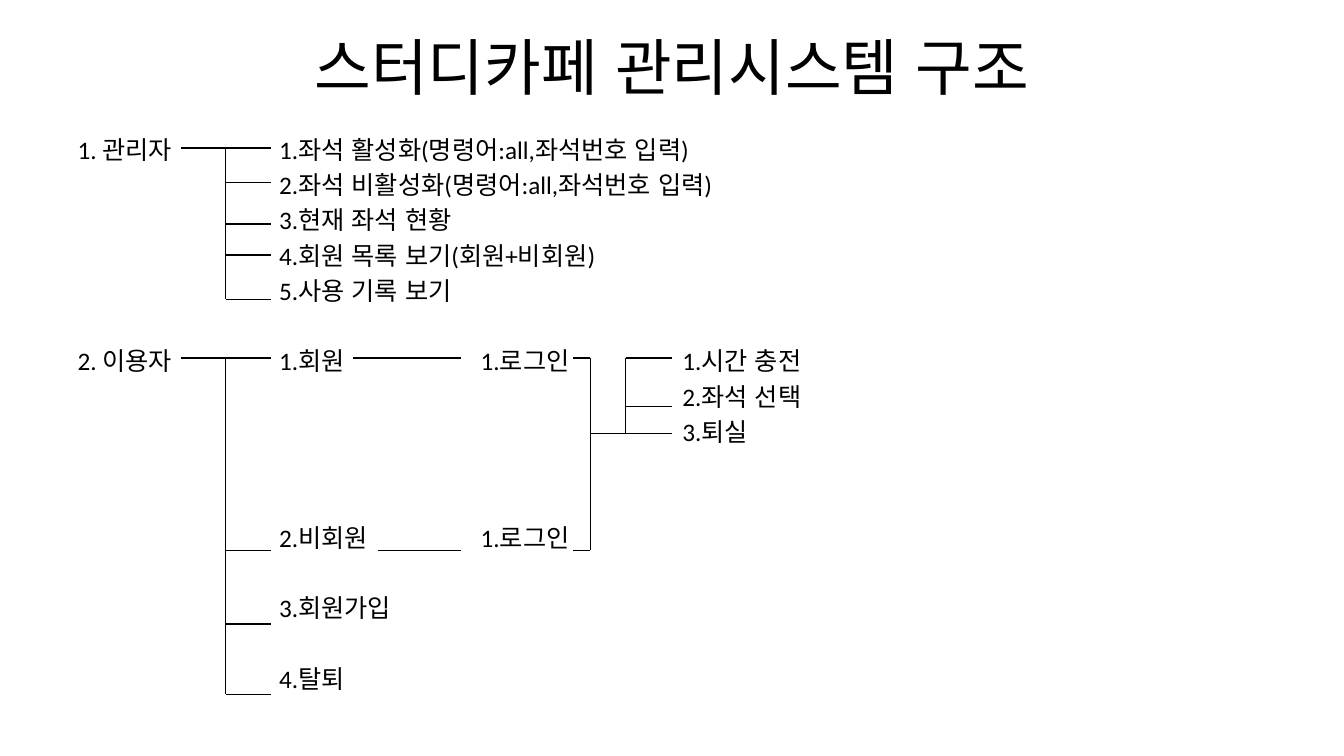
from lxml import etree
from pptx import Presentation, util as u
from pptx.dml.color import RGBColor
from pptx.enum import lang, shapes, text
from pptx.oxml.ns import qn

BLACK = "000000"
FONT = "Calibri"
ROW_PITCH, ROW_GAP = 25.2, 3.6  # points
TAB_STEP = u.Cm(5.08)


def format_font(font, size):
    values = {"name": FONT, "size": u.Pt(size),
              "language_id": lang.MSO_LANGUAGE_ID.KOREAN}
    for name, value in values.items():
        setattr(font, name, value)
    font.color.rgb = RGBColor.from_string(BLACK)


def add_line(x1, y1, x2, y2):
    """Draw a thin black line; coordinates are in centimetres."""
    line = page.shapes.add_connector(
        shapes.MSO_CONNECTOR.STRAIGHT, u.Cm(x1), u.Cm(y1), u.Cm(x2), u.Cm(y2))
    line.line.width = u.Pt(1)
    line.line.color.rgb = RGBColor.from_string(BLACK)
    etree.SubElement(line._element.spPr, qn("a:effectLst"))


deck = Presentation()
deck.slide_width, deck.slide_height = u.Cm(33.87), u.Cm(19.05)
page = deck.slides.add_slide(deck.slide_layouts[1])
title, body = page.placeholders

# Title and body placeholders
for box, top, height, anchor in [
    (title, 0.08, 3.17, text.MSO_ANCHOR.MIDDLE),
    (body, 3.25, 15.8, text.MSO_ANCHOR.TOP),
]:
    place = {"left": u.Cm(1.7), "top": u.Cm(top),
             "width": u.Cm(30.48), "height": u.Cm(height)}
    for name, value in place.items():
        setattr(box, name, value)
    frame_format = {"word_wrap": True, "vertical_anchor": anchor,
                    "auto_size": text.MSO_AUTO_SIZE.NONE}
    for name, value in frame_format.items():
        setattr(box.text_frame, name, value)

para = title.text_frame.paragraphs[0]
para.alignment = text.PP_ALIGN.CENTER
span = para.add_run()
span.text = "스터디카페 관리시스템 구조"
format_font(span.font, 44)

# Menu rows: empty rows above, then one cell per tab column
menu = [
    (0, ["1. 관리자", "1.좌석 활성화(명령어:all,좌석번호 입력)"]),
    (0, ["", "2.좌석 비활성화(명령어:all,좌석번호 입력)"]),
    (0, ["", "3.현재 좌석 현황"]),
    (0, ["", "4.회원 목록 보기(회원+비회원)"]),
    (0, ["", "5.사용 기록 보기"]),
    (1, ["2. 이용자", "1.회원", "1.로그인", "1.시간 충전"]),
    (0, ["", "", "", "2.좌석 선택"]),
    (0, ["", "", "", "3.퇴실"]),
    (2, ["", "2.비회원", "1.로그인"]),
    (1, ["", "3.회원가입"]),
    (1, ["", "4.탈퇴"]),
]
for index, (rows_above, cells) in enumerate(menu):
    frame = body.text_frame
    para = frame.add_paragraph() if index else frame.paragraphs[0]
    settings = para._p.get_or_add_pPr()
    for name, value in {"marL": 0, "indent": 0, "defTabSz": int(TAB_STEP)}.items():
        settings.set(name, str(value))
    etree.SubElement(settings, qn("a:buNone"))
    if rows_above:
        para.space_before = u.Pt(ROW_GAP + rows_above * ROW_PITCH)
    span = para.add_run()
    span.text = "\t".join(cells)
    format_font(span.font, 18)

# Brackets: trunk x, tip x, and the heights of the branches
MEMBER_Y, GUEST_Y, LEAVE_Y = 9.02, 13.87, 10.92
TRUNK_X, LOGIN_X, ACTION_X = 5.69, 14.88, 15.77
brackets = [
    (TRUNK_X, 6.83, [3.73, 4.6, 5.64, 6.43, 7.54]),
    (TRUNK_X, 6.83, [MEMBER_Y, GUEST_Y, 15.72, 17.5]),
    (LOGIN_X, 14.43, [MEMBER_Y, GUEST_Y]),
    (ACTION_X, 16.94, [MEMBER_Y, 10.24, LEAVE_Y]),
]
for trunk, tip, heights in brackets:
    add_line(trunk, heights[0], trunk, heights[-1])
    for y in heights:
        add_line(trunk, y, tip, y)

# Links between the columns
for start, end, y in [
    (4.55, TRUNK_X, 3.73),
    (4.55, TRUNK_X, MEMBER_Y),
    (8.89, 11.63, MEMBER_Y),
    (9.53, 11.63, GUEST_Y),
    (LOGIN_X, ACTION_X, LEAVE_Y),
]:
    add_line(start, y, end, y)

deck.save("out.pptx")
